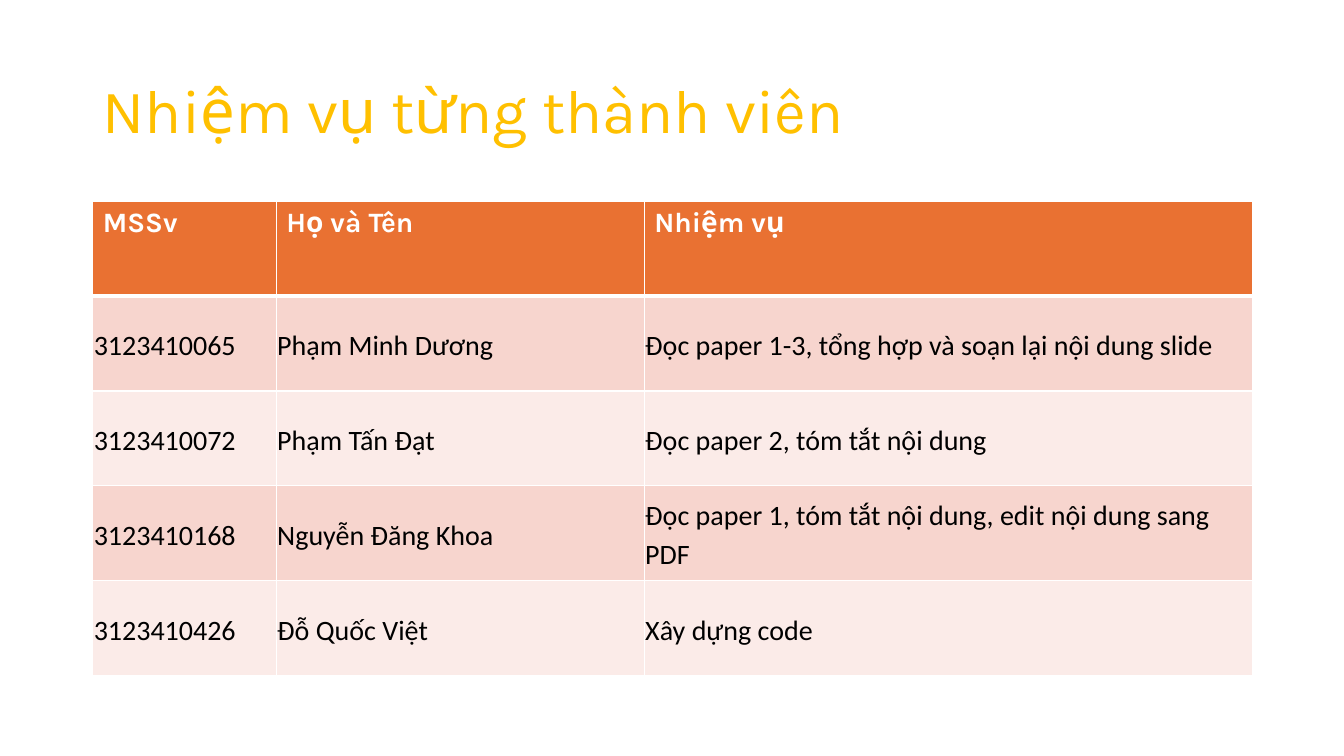
from lxml.etree import SubElement
from pptx import Presentation
from pptx.dml.color import RGBColor
from pptx.enum.text import MSO_ANCHOR, MSO_AUTO_SIZE, PP_ALIGN
from pptx.oxml.ns import qn
from pptx.util import Inches, Pt

WIDTH, HEIGHT = 13.33, 7.5
MARGIN = 0.92
CONTENT_WIDTH = 11.5


def color(hex_string):
    return RGBColor.from_string(hex_string)


class TaskSlide:
    """Holds the style and the current slide."""

    HEADING_FONT, BODY_FONT = "Karla", "Calibri"
    TITLE, HEADER, TEXT, RULE = "FFC000", "E97132", "000000", "FFFFFF"
    BANDS = ("F7D5CE", "FBEBE8")
    TEXT_SIZE = 20
    CELL_INSET = 0.01

    def __init__(self, deck):
        self.slide = deck.slides.add_slide(deck.slide_layouts[5])

    def add_run(self, paragraph, text, font, size, hex_string, bold=False):
        run = paragraph.add_run()
        run.text = text
        run.font.name = font
        run.font.size = Pt(size)
        run.font.bold = bold
        run.font.color.rgb = color(hex_string)

    def title(self, text, top, height):
        heading = self.slide.shapes.title
        heading.left, heading.top = Inches(MARGIN), Inches(top)
        heading.width, heading.height = Inches(CONTENT_WIDTH), Inches(height)
        frame = heading.text_frame
        frame.word_wrap = True
        frame.auto_size = MSO_AUTO_SIZE.NONE
        frame.vertical_anchor = MSO_ANCHOR.MIDDLE
        paragraph = frame.paragraphs[0]
        paragraph.alignment = PP_ALIGN.LEFT
        paragraph.line_spacing = 0.9
        self.add_run(paragraph, text, self.HEADING_FONT, 44, self.TITLE)

    def border(self, cell, side, points):
        properties = cell._tc.get_or_add_tcPr()
        line = SubElement(properties, qn(f"a:ln{side}"), w=str(Pt(points)))
        fill = SubElement(line, qn("a:solidFill"))
        SubElement(fill, qn("a:srgbClr"), val=self.RULE)

    def cell(self, cell, text, row):
        is_header = row == 0
        # Borders come before the fill; the header rule is thicker
        for side in "LRTB":
            is_header_rule = (row, side) in ((0, "B"), (1, "T"))
            self.border(cell, side, 3 if is_header_rule else 1)
        cell.fill.solid()
        band = self.HEADER if is_header else self.BANDS[(row - 1) % 2]
        cell.fill.fore_color.rgb = color(band)

        paragraph = cell.text_frame.paragraphs[0]
        if is_header:
            self.add_run(paragraph, text, self.HEADING_FONT, self.TEXT_SIZE,
                         self.RULE, bold=True)
            return
        cell.vertical_anchor = MSO_ANCHOR.MIDDLE
        cell.margin_left = cell.margin_right = Inches(self.CELL_INSET)
        cell.margin_top = cell.margin_bottom = Inches(self.CELL_INSET)
        paragraph.line_spacing = 1.15
        paragraph.space_after = Pt(8)
        self.add_run(paragraph, text, self.BODY_FONT, self.TEXT_SIZE, self.TEXT)

    def table(self, rows, column_widths, top, row_height):
        table = self.slide.shapes.add_table(
            len(rows), len(column_widths), Inches(MARGIN), Inches(top),
            Inches(CONTENT_WIDTH), Inches(row_height * len(rows))).table
        for column, width in zip(table.columns, column_widths):
            column.width = Inches(width)
        for r, texts in enumerate(rows):
            table.rows[r].height = Inches(row_height)
            for c, text in enumerate(texts):
                self.cell(table.cell(r, c), text, r)


def main():
    deck = Presentation()
    deck.slide_width, deck.slide_height = Inches(WIDTH), Inches(HEIGHT)
    tasks = TaskSlide(deck)

    # Title
    tasks.title("Nhiệm vụ từng thành viên", top=0.4, height=1.45)

    # Members and their tasks
    members = [
        ("MSSv", "Họ và Tên", "Nhiệm vụ"),
        ("3123410065", "Phạm Minh Dương",
         "Đọc paper 1-3, tổng hợp và soạn lại nội dung slide"),
        ("3123410072", "Phạm Tấn Đạt", "Đọc paper 2, tóm tắt nội dung"),
        ("3123410168", "Nguyễn Đăng Khoa",
         "Đọc paper 1, tóm tắt nội dung, edit nội dung sang PDF"),
        ("3123410426", "Đỗ Quốc Việt", "Xây dựng code"),
    ]
    tasks.table(members, column_widths=(1.82, 3.65, 6.03), top=2, row_height=0.94)

    deck.save("out.pptx")


if __name__ == "__main__":
    main()
